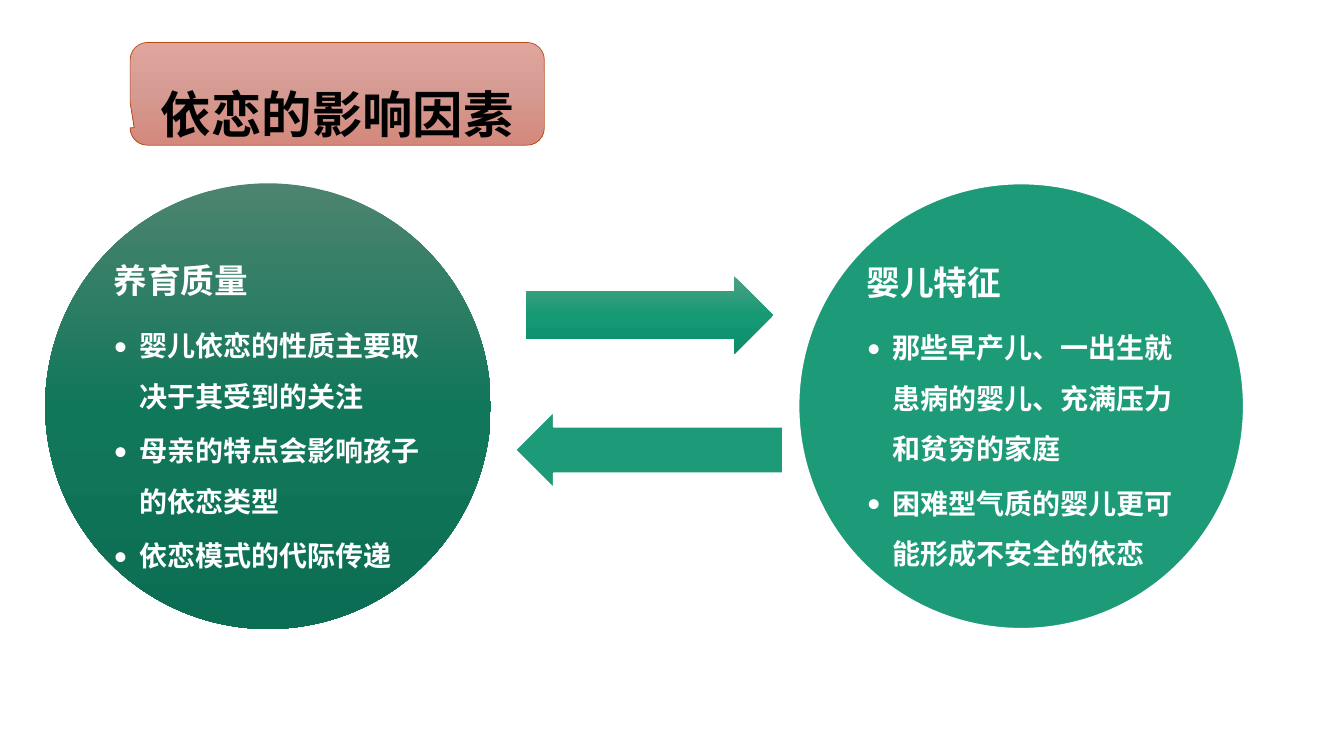
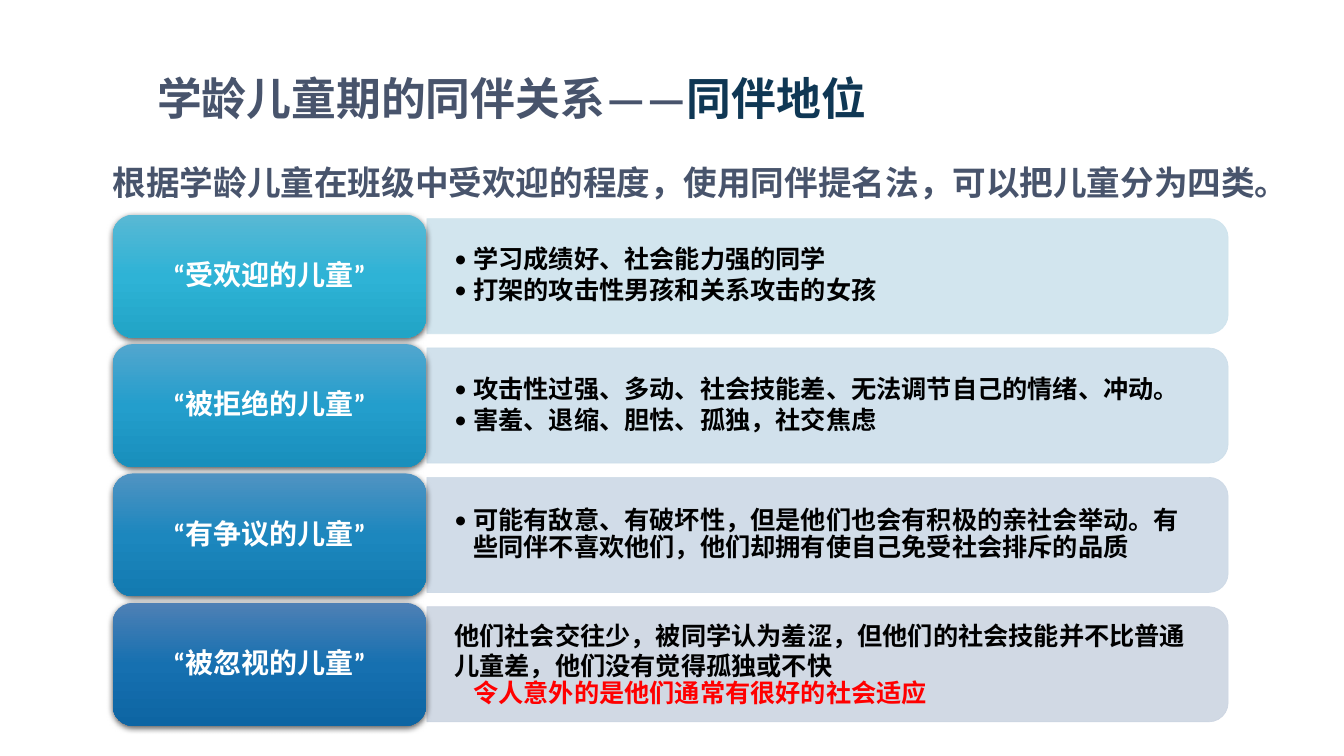
from dataclasses import dataclass
import copy
from typing import Any, NamedTuple, Optional

import pptx
import pptx.dml.color
import pptx.enum.shapes
import pptx.enum.text
import pptx.oxml
import pptx.oxml.ns
import pptx.util
from lxml import etree

Cm = pptx.util.Cm
Pt = pptx.util.Pt
RGB = pptx.dml.color.RGBColor.from_string
qn = pptx.oxml.ns.qn
SHAPE = pptx.enum.shapes.MSO_SHAPE
ANCHOR = pptx.enum.text.MSO_ANCHOR
ALIGN = pptx.enum.text.PP_ALIGN
FIT = pptx.enum.text.MSO_AUTO_SIZE


@dataclass(frozen=True)
class Theme:
    white: str = "FFFFFF"
    black: str = "000000"
    red: str = "FF0000"
    green: str = "1D9A78"
    slate: str = "48546C"
    navy: str = "0F3754"
    text_outline: str = "596784"
    callout_line: str = "B74919"
    circle_fill: tuple = ("4D846F", "11775B", "0B6D53")
    arrow_fill: tuple = ("4EA184", "169975", "0E8D6B")
    callout_fill: tuple = ("E0A69E", "D59A91", "D4887C")
    callout_size: int = 36
    title_size: int = 32
    head_size: int = 24
    label_size: int = 20
    detail_size: int = 18
    body_font: str = "Calibri"
    title_font: str = "Times New Roman"
    cjk_font: str = "Noto Sans CJK SC"


T = Theme()


class Box(NamedTuple):
    """Left, top, width and height in centimetres."""
    left: float
    top: float
    width: float
    height: float

    def lengths(self) -> list:
        return [Cm(v) for v in self]


@dataclass
class Run:
    text: str
    size: int
    color: str = T.white
    font: str = T.body_font
    outlined: bool = False


@dataclass
class Para:
    runs: list
    spacing: float = 1.5
    after: float = 0
    align: Any = None
    margin: float = 0
    bullet: bool = False


class Arrow(NamedTuple):
    kind: Any
    box: Box
    fill: Any
    line: Optional[str]


class Circle(NamedTuple):
    left: float
    fill: Any
    line: Optional[str]
    heading: str
    points: list


class Group(NamedTuple):
    label: str
    label_fill: tuple
    panel_fill: str
    details: list


def apply(obj: Any, values: dict) -> None:
    for name, value in values.items():
        setattr(obj, name, value)


def add_effects(sp: Any) -> Any:
    return etree.SubElement(sp._element.spPr, qn("a:effectLst"))


def paint(sp: Any, fill: Any, line: Optional[str] = None, width: float = 0.5) -> None:
    """Fill with one colour, or with three from top to bottom."""
    if isinstance(fill, str):
        sp.fill.solid()
        sp.fill.fore_color.rgb = RGB(fill)
    else:
        sp.fill.gradient()
        sp.fill.gradient_angle = 270
        stops = sp._element.spPr.find(".//" + qn("a:gsLst"))
        stops.append(copy.deepcopy(stops[-1]))
        for i, (stop, color) in enumerate(zip(sp.fill.gradient_stops, fill)):
            stop.position = i / 2
            stop.color.rgb = RGB(color)
    if line:
        sp.line.color.rgb = RGB(line)
        sp.line.width = Pt(width)
    else:
        sp.line.fill.background()


def add_shape(slide: Any, kind: Any, box: Box, fill: Any,
              line: Optional[str] = None, width: float = 0.5) -> Any:
    sp = slide.shapes.add_shape(kind, *box.lengths())
    sp.shadow.inherit = False
    paint(sp, fill, line, width)
    return sp


def set_transparency(sp: Any, opacity: int) -> None:
    for color in sp._element.spPr.iter(qn("a:srgbClr")):
        etree.SubElement(color, qn("a:alpha"), val=str(opacity * 1000))


def drop_shadow(sp: Any) -> None:
    effects = sp._element.spPr.find(qn("a:effectLst"))
    shadow = etree.SubElement(
        effects, qn("a:outerShdw"), blurRad=str(Pt(4.5)), dist=str(Pt(1.5)),
        dir="5400000", algn="ctr", rotWithShape="0")
    color = etree.SubElement(shadow, qn("a:srgbClr"), val=T.black)
    etree.SubElement(color, qn("a:alpha"), val="63000")


def write_run(p: Any, run: Run) -> None:
    r = p.add_run()
    r.text = run.text
    apply(r.font, {"size": Pt(run.size), "bold": True, "name": run.font})
    r.font.color.rgb = RGB(run.color)
    rpr = r.font._element
    east_asian = etree.Element(qn("a:ea"), typeface=T.body_font)
    rpr.find(qn("a:latin")).addnext(east_asian)
    if run.outlined:
        ln = etree.Element(qn("a:ln"), w=str(Pt(0.75)))
        solid = etree.SubElement(ln, qn("a:solidFill"))
        etree.SubElement(solid, qn("a:srgbClr"), val=T.text_outline)
        rpr.insert(0, ln)


def write(sp: Any, paras: list, inset: tuple = (0.25, 0.13),
          anchor: Any = ANCHOR.MIDDLE, fit: Any = FIT.NONE) -> None:
    tf = sp.text_frame
    across, down = (Cm(v) for v in inset)
    apply(tf, {"word_wrap": True, "vertical_anchor": anchor, "auto_size": fit,
               "margin_left": across, "margin_right": across,
               "margin_top": down, "margin_bottom": down})
    for i, para in enumerate(paras):
        p = tf.add_paragraph() if i else tf.paragraphs[0]
        apply(p, {"alignment": para.align or ALIGN.LEFT, "line_spacing": para.spacing,
                  "space_before": Pt(0), "space_after": Pt(para.after)})
        ppr = p._p.get_or_add_pPr()
        ppr.set("marL", str(Cm(para.margin)))
        ppr.set("indent", str(-Cm(para.margin) if para.bullet else 0))
        if para.bullet:
            etree.SubElement(ppr, qn("a:buFont"), typeface="Calibri")
            etree.SubElement(ppr, qn("a:buChar"), char="•")
        for run in para.runs:
            write_run(p, run)


def add_text(slide: Any, box: Box, paras: list, **options: Any) -> None:
    write(slide.shapes.add_textbox(*box.lengths()), paras, **options)


CIRCLE_TOP, CIRCLE_SIZE = 4.62, 11.23
CIRCLES = [
    Circle(1.14, T.circle_fill, None, "养育质量",
           ["婴儿依恋的性质主要取决于其受到的关注",
            "母亲的特点会影响孩子的依恋类型",
            "依恋模式的代际传递"]),
    Circle(20.12, T.green, T.white, "婴儿特征",
           ["那些早产儿、一出生就患病的婴儿、充满压力和贫穷的家庭",
            "困难型气质的婴儿更可能形成不安全的依恋"]),
]
ARROWS = [
    Arrow(SHAPE.RIGHT_ARROW, Box(13.26, 6.96, 6.22, 1.96), T.arrow_fill, None),
    Arrow(SHAPE.LEFT_ARROW, Box(12.98, 10.36, 6.76, 1.96), T.green, T.white),
]


def attachment_slide(slide: Any) -> None:
    for circle in CIRCLES:
        box = Box(circle.left, CIRCLE_TOP, CIRCLE_SIZE, CIRCLE_SIZE)
        sp = add_shape(slide, SHAPE.OVAL, box, circle.fill, circle.line, 1.5)
        heading = Para([Run(circle.heading, T.head_size)], after=8.4)
        points = [Para([Run(point, T.label_size)], after=3, margin=0.64, bullet=True)
                  for point in circle.points]
        write(sp, [heading, *points], inset=(0.08, 0.08))
    for arrow in ARROWS:
        sp = add_shape(slide, arrow.kind, arrow.box, arrow.fill, arrow.line, 1.5)
        sp.adjustments[0] = 0.6
    sp = add_shape(slide, SHAPE.ROUNDED_RECTANGULAR_CALLOUT, Box(3.28, 1.07, 10.44, 2.59),
                   T.callout_fill, T.callout_line)
    for i, value in enumerate((-0.49, 0.33, 0.17)):
        sp.adjustments[i] = value
    title = Run("依恋的影响因素", T.callout_size, T.black, T.title_font)
    write(sp, [Para([title], align=ALIGN.CENTER)], anchor=ANCHOR.TOP)


def detail(text: str, color: str = T.black, **options: Any) -> Para:
    run = Run(text, T.detail_size, color, T.cjk_font)
    return Para([run], **{"spacing": 0.9, "after": 2.7, "margin": 0.48, **options})


GROUPS = [
    Group("“受欢迎的儿童”", ("59B8D4", "2EB3D6", "21A4C6"), "CEE3ED",
          [detail("学习成绩好、社会能力强的同学", bullet=True),
           detail("打架的攻击性男孩和关系攻击的女孩", bullet=True)]),
    Group("“被拒绝的儿童”", ("52A6CE", "239ECC", "198FBC"), "CDDEEA",
          [detail("攻击性过强、多动、社会技能差、无法调节自己的情绪、冲动。", bullet=True),
           detail("害羞、退缩、胆怯、孤独，社交焦虑", bullet=True)]),
    Group("“有争议的儿童”", ("5093C2", "1C87BE", "137AB0"), "CDD9E6",
          [detail("可能有敌意、有破坏性，但是他们也会有积极的亲社会举动。"
                  "有些同伴不喜欢他们，他们却拥有使自己免受社会排斥的品质", bullet=True)]),
    Group("“被忽视的儿童”", ("4E80B5", "1670B0", "0D65A3"), "CCD5E2",
          [detail("他们社会交往少，被同学认为羞涩，但他们的社会技能并不比普通"
                  "儿童差，他们没有觉得孤独或不快", spacing=1.0, after=0, margin=0),
           detail("令人意外的是他们通常有很好的社会适应", T.red)]),
]
FIRST_MIDDLE, ROW_PITCH = 6.96, 3.26
LABEL_LEFT, LABEL_WIDTH, LABEL_HEIGHT = 2.84, 7.9, 3.1
PANEL_LEFT, PANEL_WIDTH, PANEL_HEIGHT = 10.76, 20.19, 2.9
DETAIL_WIDTH, DETAIL_HEIGHT = 20.07, 2.62


def add_group(slide: Any, group: Group, middle: float) -> None:
    # The panel is drawn upright and turned, so its rounded end faces right.
    turned = Box(PANEL_LEFT + (PANEL_WIDTH - PANEL_HEIGHT) / 2, middle - PANEL_WIDTH / 2,
                 PANEL_HEIGHT, PANEL_WIDTH)
    panel = add_shape(slide, SHAPE.ROUND_2_SAME_RECTANGLE, turned,
                      group.panel_fill, group.panel_fill)
    panel.rotation = 90
    set_transparency(panel, 90)
    add_text(slide, Box(PANEL_LEFT, middle - DETAIL_HEIGHT / 2, DETAIL_WIDTH, DETAIL_HEIGHT),
             group.details, inset=(0.69, 0.36))
    label = add_shape(slide, SHAPE.ROUNDED_RECTANGLE,
                      Box(LABEL_LEFT, middle - LABEL_HEIGHT / 2, LABEL_WIDTH, LABEL_HEIGHT),
                      group.label_fill)
    drop_shadow(label)
    run = Run(group.label, T.label_size, font=T.cjk_font)
    write(label, [Para([run], spacing=0.9, align=ALIGN.CENTER)], inset=(0.2, 0.1))


def peer_status_slide(slide: Any) -> None:
    for i, group in enumerate(GROUPS):
        add_group(slide, group, FIRST_MIDDLE + i * ROW_PITCH)
    top_text = {"anchor": ANCHOR.TOP, "fit": FIT.SHAPE_TO_FIT_TEXT}
    intro = Run("根据学龄儿童在班级中受欢迎的程度，使用同伴提名法，可以把儿童分为四类。",
                T.head_size, T.slate, T.cjk_font, outlined=True)
    add_text(slide, Box(2.26, 3.43, 30.23, 1.8), [Para([intro], margin=0.33)], **top_text)
    title = [Run("学龄儿童期的同伴关系——", T.title_size, T.slate, T.cjk_font),
             Run("同伴地位", T.title_size, T.navy, T.cjk_font, outlined=True)]
    add_text(slide, Box(3.71, 0.97, 22.94, 2.31), [Para(title)], **top_text)


def main() -> None:
    prs = pptx.Presentation()
    apply(prs, {"slide_width": Cm(33.87), "slide_height": Cm(19.05)})
    for build in (attachment_slide, peer_status_slide):
        build(prs.slides.add_slide(prs.slide_layouts[6]))
    prs.save("out.pptx")


if __name__ == "__main__":
    main()
